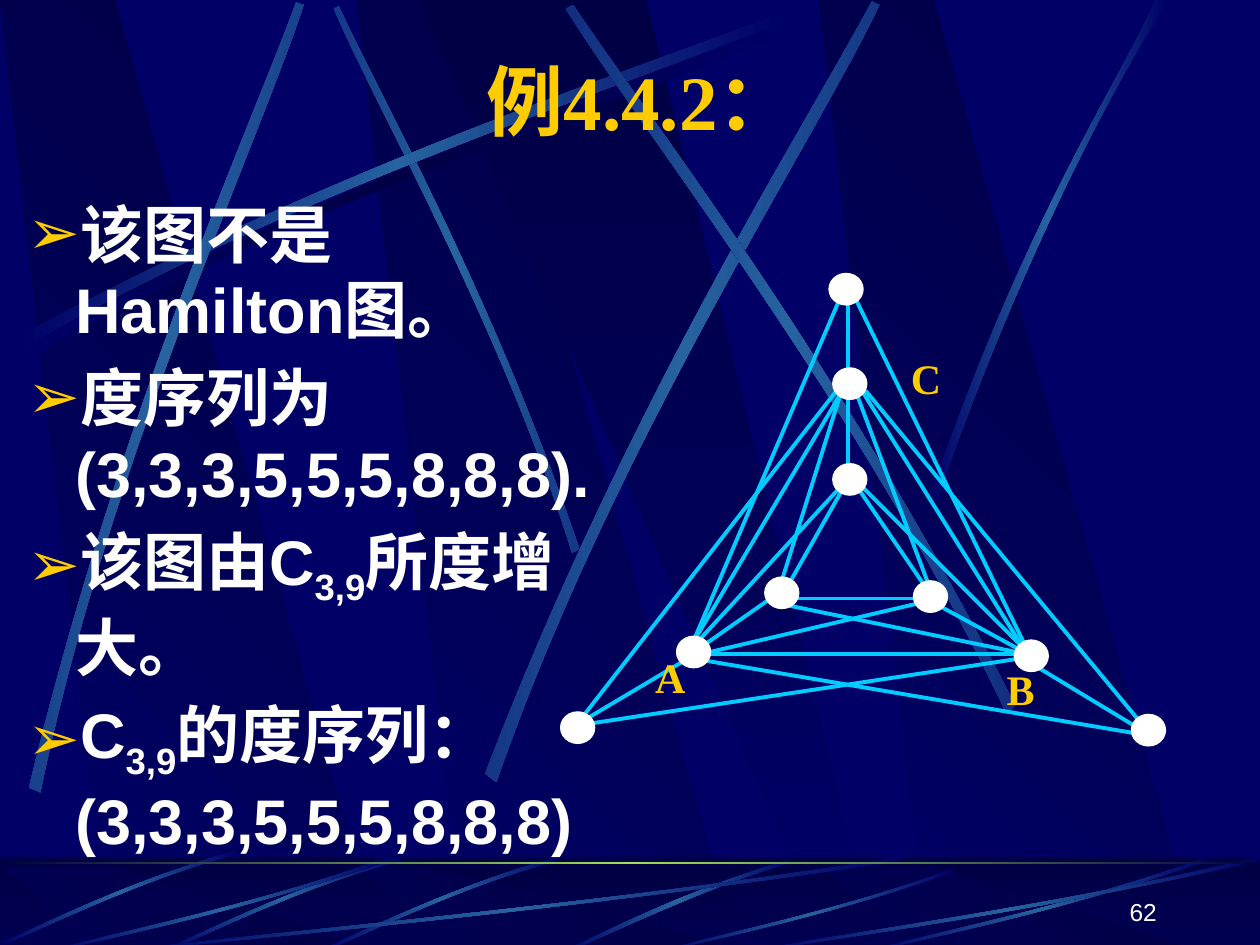
from dataclasses import dataclass
from math import cos, radians, sin

from lxml import etree
from pptx import Presentation
from pptx import util as u
from pptx.dml.color import RGBColor
from pptx.enum import shapes, text
from pptx.oxml.ns import qn

PX = 9144  # 100 px to the inch


@dataclass(frozen=True)
class Theme:
    navy: str = "000066"
    night: str = "000044"
    beam: str = "2663A0"
    lime: str = "9CE157"
    edge: str = "00CCFF"
    gold: str = "FFCC00"
    white: str = "FFFFFF"
    serif: str = "Times New Roman"
    sans: str = "Arial"
    head: int = 44
    body: int = 36
    label: int = 24
    small: int = 14


T = Theme()
BEAM = (T.navy, T.beam, T.navy)
SHADE = (T.navy, T.night, T.navy)

# Each streak is two curves of four points, out and back.
RISE = (20, 275, 284, 134, 524, 59, 626, 18, 629, 24, 528, 69, 254, 151, 23, 285)
CROSS = [
    (45, (460, 436, 391, 234, 302, 77, 269, 5, 265, 7, 295, 79, 398, 258, 454, 439)),
    (311.7, (23, 625, 93, 334, 197, 105, 235, 2, 241, 4, 207, 109, 86, 368, 32, 629)),
    (321.6, (385, 614, 498, 320, 638, 102, 692, 1, 698, 4, 649, 108, 486, 355, 394, 621)),
    (34.7, (806, 560, 670, 293, 516, 95, 455, 4, 449, 7, 507, 101, 685, 325, 799, 567)),
    (0, (738, 394, 814, 173, 888, 66, 917, 0, 927, 0, 836, 145, 769, 322, 744, 397)),
]
SHORT = (627, 2, 537, 29, 477, 62, 448, 74, 453, 75, 490, 58, 571, 20, 628, 5)
TILT = (442, 0, 355, 25, 287, 60, 256, 73, 257, 75, 288, 63, 365, 23, 444, 3)
SWEEP = (617, 3, 349, 43, 106, 64, 3, 75, 0, 74, 102, 61, 380, 38, 614, 0)

EDGES = [
    (157, 319, 420, 319), (267, 36, 146, 319), (267, 113, 150, 310), (146, 322, 507, 383),
    (213, 274, 153, 316), (142, 325, 63, 372), (157, 319, 337, 277), (153, 310, 273, 180),
    (70, 374, 414, 322), (277, 33, 414, 313), (284, 110, 417, 322), (344, 280, 410, 316),
    (284, 186, 414, 316), (223, 280, 414, 319), (416, 325, 507, 380), (273, 39, 273, 107),
    (287, 110, 504, 372), (273, 113, 273, 174), (267, 113, 217, 272), (280, 113, 340, 272),
    (264, 110, 60, 372), (280, 186, 340, 274), (228, 275, 328, 275), (270, 186, 223, 269),
]
NODES = [(137, 305), (405, 308), (261, 92), (45, 365), (207, 258),
         (258, 17), (261, 168), (325, 261), (498, 367)]
LABELS = [("A", 120, 317), ("B", 399, 327), ("C", 323, 80)]
ITEMS = [
    ["该图不是Hamilton图。"],
    ["度序列为(3,3,3,5,5,5,8,8,8)."],
    ["该图由C", "3,9", "所度增大。"],
    ["C", "3,9", "的度序列：(3,3,3,5,5,5,8,8,8)"],
]


def emu(*vals):
    return [round(v * PX) for v in vals]


def rgb(code):
    return RGBColor.from_string(code)


def plain(shape, fill=None):
    shape.shadow.inherit = False
    shape.line.fill.background()
    if fill:
        shape.fill.solid()
        shape.fill.fore_color.rgb = rgb(fill)
    return shape


def blend(shape, cols, angle=0):
    """Fill with evenly spaced gradient stops; the angle runs clockwise."""
    plain(shape).fill.gradient()
    shape.fill.gradient_angle = (360 - angle) % 360
    grad = shape.element.spPr.find(qn("a:gradFill"))
    grad.set("rotWithShape", "0")
    stops = grad.find(qn("a:gsLst"))
    stops.clear()
    for i, col in enumerate(cols):
        stop = etree.SubElement(stops, qn("a:gs"), pos=str(100000 * i // (len(cols) - 1)))
        etree.SubElement(stop, qn("a:srgbClr"), val=col)


def outline(group, pts):
    pts = [emu(*p) for p in pts]
    form = group.shapes.build_freeform(*pts[0])
    form.add_line_segments(pts[1:], close=True)
    return form.convert_to_shape()


def bend(shape):
    """Turn the lines through each set of control points into a cubic curve."""
    lines = list(shape.element.spPr.iter(qn("a:lnTo")))
    for trio in (lines[:3], lines[4:7]):
        cubic = etree.Element(qn("a:cubicBezTo"))
        trio[0].addprevious(cubic)
        for line in trio:
            cubic.append(line[0])
            line.getparent().remove(line)


def turn(x, y, deg):
    c, s = cos(radians(deg)), sin(radians(deg))
    return x * c - y * s, x * s + y * c


def streak(group, nums, x=0, y=0, sx=1, sy=1, rot=0, cols=BEAM):
    """Draw a streak already turned on the page, keeping its rotation as a property."""
    ctrl = [(x + a * sx, y + b * sy) for a, b in zip(nums[::2], nums[1::2])]
    shape = outline(group, [turn(*p, -rot) for p in ctrl])
    bend(shape)
    mid = turn(shape.left + shape.width / 2, shape.top + shape.height / 2, rot)
    shape.left = round(mid[0] - shape.width / 2)
    shape.top = round(mid[1] - shape.height / 2)
    shape.rotation = rot
    blend(shape, cols)


def panels(group, x, y, h):
    for dx in (283, 0, 650):
        pts = [(86, h), (302, h), (91, 0), (0, 0)]
        blend(outline(group, [(x + dx + a, y + b) for a, b in pts]), (T.navy, T.night), 315)
    pts = [(333, 0), (658, h), (694, h), (513, 0)]
    blend(outline(group, [(x + a, y + b) for a, b in pts]), (T.night, T.navy), 90)


def bar(group, x, y, w, h):
    return group.shapes.add_shape(shapes.MSO_SHAPE.RECTANGLE, *emu(x, y, w, h))


def sky(group, x, y, h):
    panels(group, x, y, h)
    streak(group, RISE, x, y, cols=SHADE)
    rot, nums = CROSS[0]
    streak(group, nums, x, y, rot=rot)
    streak(group, RISE, x - 6, y - 8)
    for rot, nums in CROSS[1:]:
        streak(group, nums, x, y, rot=rot)


def floor(group, x, y, w, h):
    blend(bar(group, x, y, w, h), (T.night, T.navy), 90)
    panels(group, x, y + 8, h - 8)
    veil = plain(bar(group, x, y, w, h), T.night)
    tint = veil.element.spPr.find(qn("a:solidFill"))[0]
    etree.SubElement(tint, qn("a:alpha"), val="50000")
    streak(group, SHORT, x, y)
    for dx, dy in ((0, 0), (-125, 0), (-255, -5)):
        streak(group, TILT, x + dx, y + dy, rot=315)
    for dx, dy, wide, high in ((100, 0, 617, 75), (42, 0, 267, 75), (527, 9, 231, 66),
                               (692, 0, 267, 75), (600, 0, 400, 75)):
        streak(group, SWEEP, x + dx, y + dy, wide / 617, high / 75)
    blend(bar(group, x, y + 4, w, 2), (T.night, T.lime, T.night))


def backdrop(deck, slide):
    """Draw the art as one group and hand it to the slide master."""
    group = slide.shapes.add_group_shape()
    sky(group, 0, 0, 752)
    floor(group, 0, 680, 1000, 75)
    deck.slide_master.shapes[0].element.addprevious(group.element)


def style(para, face, size, col, bold=True):
    para.font.name, para.font.size, para.font.bold = face, u.Pt(size), bold
    para.font.color.rgb = rgb(col)


def textbox(home, *box):
    frame = home.shapes.add_textbox(*emu(*box)).text_frame
    frame.word_wrap = True
    return frame


def heading(slide, *box):
    title = slide.shapes.title
    title.left, title.top, title.width, title.height = emu(*box)
    frame = title.text_frame
    frame.text = "例4.4.2："
    frame.auto_size = text.MSO_AUTO_SIZE.NONE
    frame.vertical_anchor = text.MSO_ANCHOR.MIDDLE
    para = frame.paragraphs[0]
    para.alignment = text.PP_ALIGN.CENTER
    style(para, T.serif, T.head, T.gold)


def points(slide, *box):
    frame = textbox(slide, *box)
    for i, parts in enumerate(ITEMS):
        para = frame.add_paragraph() if i else frame.paragraphs[0]
        if i:
            para.space_before = u.Pt(7)
        props = para._p.get_or_add_pPr()
        props.set("marL", str(38 * PX))
        props.set("indent", str(-38 * PX))
        tint = etree.SubElement(props, qn("a:buClr"))
        etree.SubElement(tint, qn("a:srgbClr"), val=T.gold)
        etree.SubElement(props, qn("a:buFont"), typeface=T.sans)
        etree.SubElement(props, qn("a:buChar"), char="➢")
        style(para, T.sans, T.body, T.white)
        for k, part in enumerate(parts):
            run = para.add_run()
            run.text = part
            if k == 1:
                run.font._element.set("baseline", "-25000")


def graph(slide, x, y):
    group = slide.shapes.add_group_shape()
    for a, b, c, d in EDGES:
        line = group.shapes.add_connector(
            shapes.MSO_CONNECTOR.STRAIGHT, *emu(x + a, y + b, x + c, y + d))
        line.line.color.rgb = rgb(T.edge)
        line.line.width = u.Pt(2.25)
        etree.SubElement(line._element.spPr, qn("a:effectLst"))
    for a, b in NODES:
        dot = plain(group.shapes.add_shape(
            shapes.MSO_SHAPE.OVAL, *emu(x + a, y + b, 27, 25)), T.white)
        dot.line.color.rgb = rgb(T.white)
        dot.line.width = u.Pt(0.75)
    for name, a, b in LABELS:
        frame = textbox(group, x + a, y + b, 34, 40)
        frame.margin_left = frame.margin_right = frame.margin_top = frame.margin_bottom = 0
        frame.text = name
        style(frame.paragraphs[0], T.serif, T.label, T.gold)


def number(slide, *box):
    frame = textbox(slide, *box)
    frame.vertical_anchor = text.MSO_ANCHOR.BOTTOM
    frame.text = "62"
    frame.paragraphs[0].alignment = text.PP_ALIGN.RIGHT
    style(frame.paragraphs[0], T.sans, T.small, T.white, False)


def main():
    deck = Presentation()
    deck.slide_width, deck.slide_height = emu(1000, 750)
    slide = deck.slides.add_slide(deck.slide_layouts[5])
    slide.background.fill.solid()
    slide.background.fill.fore_color.rgb = rgb(T.navy)
    backdrop(deck, slide)
    number(slide, 720, 690, 208, 50)
    heading(slide, 17, 17, 983, 125)
    points(slide, 12, 150, 471, 567)
    graph(slide, 400, 200)
    deck.save("out.pptx")


if __name__ == "__main__":
    main()
